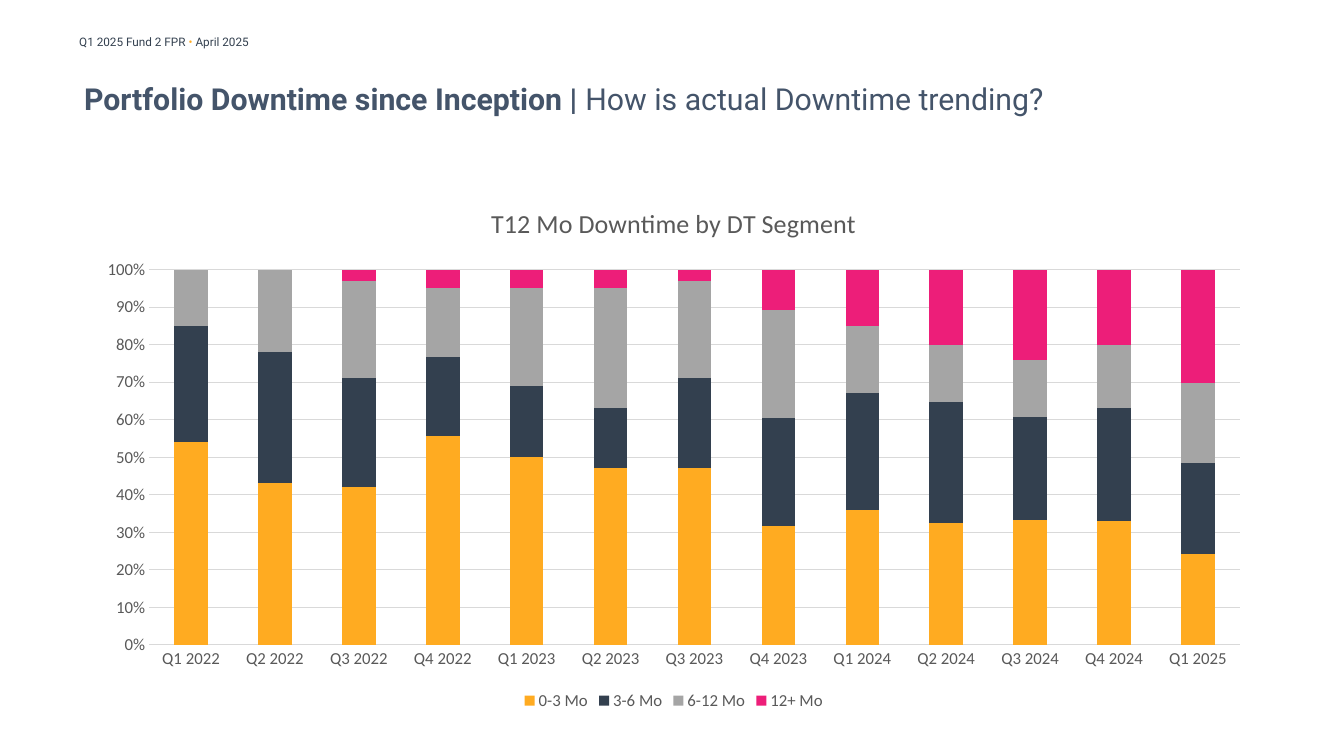
from pptx import Presentation
from pptx.chart.data import CategoryChartData
from pptx.dml.color import RGBColor
from pptx.enum.chart import XL_CHART_TYPE, XL_LEGEND_POSITION, XL_TICK_MARK
from pptx.enum.text import MSO_ANCHOR, MSO_AUTO_SIZE, PP_ALIGN
from pptx.util import Pt

NAVY, AMBER, GRAY, PINK = "33404F", "FFAB21", "A5A5A5", "ED1E79"
SLATE, LABEL, GRID = "44546A", "595959", "D9D9D9"

QUARTERS = [f"Q{quarter} {year}" for year in (2022, 2023, 2024)
            for quarter in (1, 2, 3, 4)] + ["Q1 2025"]
SEGMENTS = [
    ("0-3 Mo", AMBER, (54, 43, 42, 55, 50, 47, 47, 32, 36, 32, 33, 33, 24)),
    ("3-6 Mo", NAVY, (31, 35, 29, 21, 19, 16, 24, 29, 31, 32, 27, 30, 24)),
    ("6-12 Mo", GRAY, (15, 22, 26, 18, 26, 32, 26, 29, 18, 15, 15, 17, 21)),
    ("12+ Mo", PINK, (0, 0, 3, 5, 5, 5, 3, 11, 15, 20, 24, 20, 30)),
]


def color(value):
    return RGBColor.from_string(value)


def set_format(target, values):
    for name, value in values.items():
        setattr(target, name, value)


def set_font(font, name, size, tone, bold=False):
    set_format(font, {"name": name, "size": Pt(size), "bold": bold})
    font.color.rgb = color(tone)


def add_spans(para, size, spans):
    for text, tone, bold in spans:
        span = para.add_run()
        span.text = text
        set_font(span.font, "Roboto", size, tone, bold)


def add_header(page, box):
    frame = page.shapes.add_textbox(*map(Pt, box)).text_frame
    set_format(frame, {"word_wrap": True,
                       "auto_size": MSO_AUTO_SIZE.SHAPE_TO_FIT_TEXT})
    add_spans(frame.paragraphs[0], 8.4, [
        ("Q1 2025 Fund 2 FPR ", NAVY, False),
        ("• ", AMBER, False),
        ("April 2025", NAVY, False),
    ])


def add_title(page, box):
    title = page.shapes.title
    set_format(title, dict(zip(("left", "top", "width", "height"), map(Pt, box))))
    frame = title.text_frame
    set_format(frame, {"margin_left": 0, "margin_top": 0, "margin_right": 0,
                       "margin_bottom": 0, "word_wrap": True,
                       "auto_size": MSO_AUTO_SIZE.NONE,
                       "vertical_anchor": MSO_ANCHOR.MIDDLE})
    para = frame.paragraphs[0]
    para.alignment = PP_ALIGN.LEFT
    add_spans(para, 21.6, [
        ("Portfolio Downtime since Inception | ", SLATE, True),
        ("How is actual Downtime trending?", SLATE, False),
    ])


def add_downtime_chart(page, box):
    data = CategoryChartData(number_format="0")
    data.categories = QUARTERS
    for name, _, values in SEGMENTS:
        data.add_series(name, values)
    chart = page.shapes.add_chart(
        XL_CHART_TYPE.COLUMN_STACKED_100, *map(Pt, box), data).chart
    set_font(chart.font, "Calibri", 10, "000000")

    # Chart title
    chart.has_title = True
    heading = chart.chart_title
    heading.include_in_layout = False
    span = heading.text_frame.paragraphs[0].add_run()
    span.text = "T12 Mo Downtime by DT Segment"
    set_font(span.font, "Calibri", 18.6, LABEL)

    # Stacked columns
    plot = chart.plots[0]
    set_format(plot, {"gap_width": 150, "overlap": 100,
                      "vary_by_categories": False})
    for series, (_, tone, _) in zip(plot.series, SEGMENTS):
        series.format.fill.solid()
        series.format.fill.fore_color.rgb = color(tone)

    # Axes and gridlines
    for axis in (chart.category_axis, chart.value_axis):
        set_format(axis, {"major_tick_mark": XL_TICK_MARK.NONE,
                          "minor_tick_mark": XL_TICK_MARK.NONE})
        set_font(axis.tick_labels.font, "Calibri", 12, LABEL)
    chart.value_axis.has_major_gridlines = True
    set_format(chart.value_axis.tick_labels,
               {"number_format": "0%", "number_format_is_linked": False})
    chart.value_axis.format.line.fill.background()
    for line in (chart.category_axis.format.line,
                 chart.value_axis.major_gridlines.format.line):
        line.color.rgb = color(GRID)
        line.width = Pt(0.75)

    # Legend
    chart.has_legend = True
    set_format(chart.legend, {"position": XL_LEGEND_POSITION.BOTTOM,
                              "include_in_layout": False})
    set_font(chart.legend.font, "Calibri", 12, LABEL)


def main():
    deck = Presentation()
    set_format(deck, {"slide_width": Pt(960), "slide_height": Pt(540)})
    page = deck.slides.add_slide(deck.slide_layouts[5])
    add_header(page, (49.5, 21, 325, 17.5))
    add_title(page, (60, 43, 793.5, 54))
    add_downtime_chart(page, (60, 132, 842.5, 378.5))
    deck.save("out.pptx")


if __name__ == "__main__":
    main()
